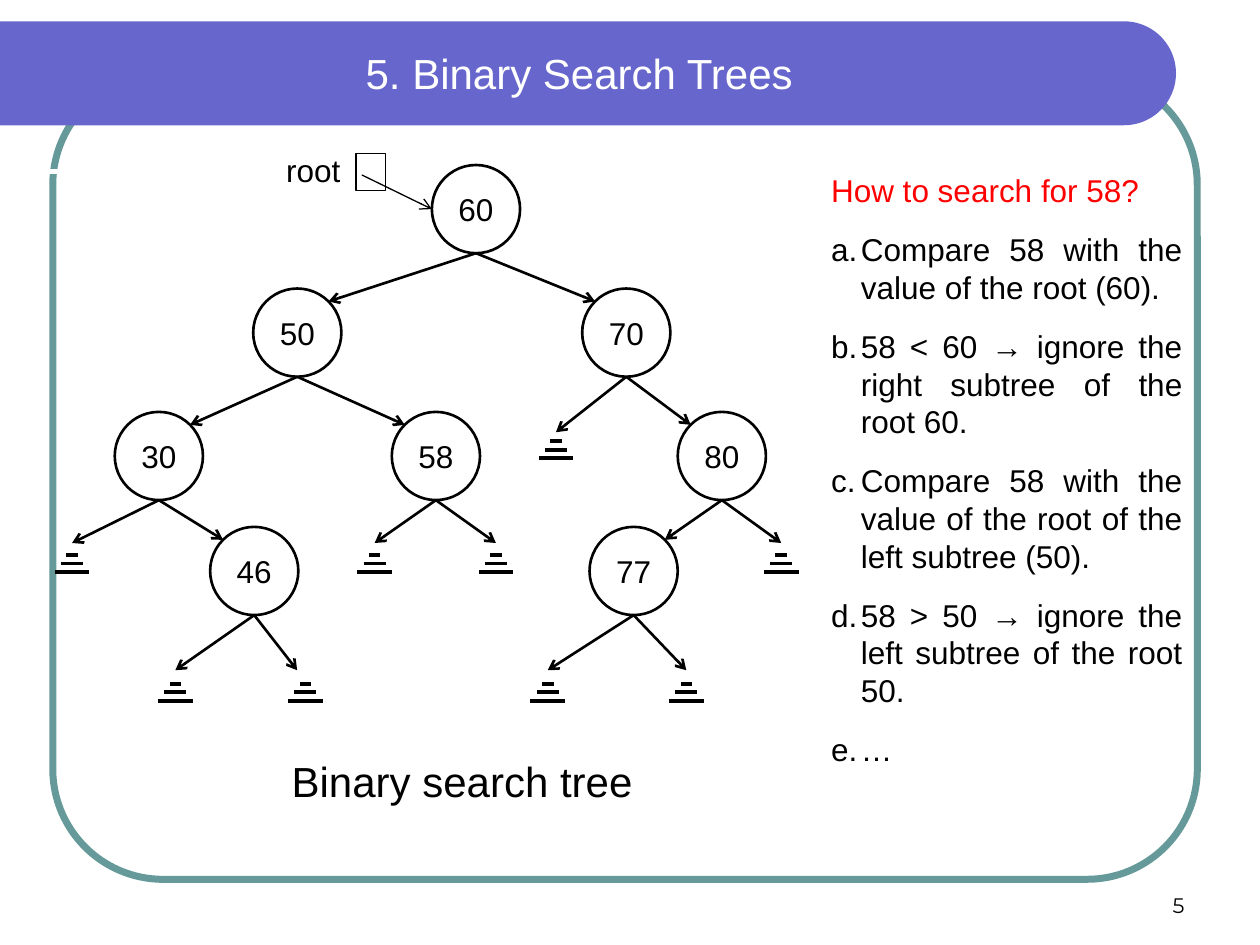
from math import cos, pi, sin
from pptx import Presentation
from pptx.dml.color import RGBColor
from pptx.enum.shapes import MSO_CONNECTOR as Link, MSO_SHAPE as Form
from pptx.enum.text import MSO_ANCHOR as Anchor, PP_ALIGN as Align
from pptx.oxml.ns import qn
from pptx.util import Pt
from lxml.etree import SubElement

BLACK = RGBColor(0, 0, 0)
WHITE = RGBColor(255, 255, 255)
RED = RGBColor(255, 0, 0)
BLUE = RGBColor(0x66, 0x66, 0xCC)
TEAL = RGBColor(0x66, 0x99, 0x99)

prs = Presentation()
prs.slide_width, prs.slide_height = Pt(720), Pt(540)
slide = prs.slides.add_slide(prs.slide_layouts[1])
shapes = slide.shapes
title, body = slide.placeholders


def draw_line(x1, y1, x2, y2, width, color=BLACK, arrow=False):
    line = shapes.add_connector(Link.STRAIGHT, Pt(x1), Pt(y1), Pt(x2), Pt(y2))
    line.line.width = Pt(width)
    line.line.color.rgb = color
    props = line._element.spPr
    if arrow:
        SubElement(props.find(qn("a:ln")), qn("a:tailEnd"), type="arrow")
    SubElement(props, qn("a:effectLst"))
    return line


def set_text(shape, text, size, color=BLACK, align=Align.CENTER,
             anchor=Anchor.MIDDLE, face="Arial"):
    frame = shape.text_frame
    frame.text = text
    frame.word_wrap = True
    frame.vertical_anchor = anchor
    for par in frame.paragraphs:
        par.alignment = align
        for run in par.runs:
            run.font.size = Pt(size)
            run.font.name = face
            run.font.color.rgb = color


# Rounded frame
frame = shapes.add_shape(Form.ROUNDED_RECTANGLE, Pt(30.2), Pt(42.5), Pt(654), Pt(460))
frame.adjustments[0] = 0.137
frame.fill.background()
frame.line.color.rgb = TEAL
frame.line.width = Pt(4)
frame.shadow.inherit = False

# Banner with a round right end
mid, rad, edge = 41.9, 29.7, 642.3
arc = [(edge + rad * cos(a), mid + rad * sin(a))
       for a in (pi * (i / 40 - 0.5) for i in range(41))]
pen = shapes.build_freeform(0, Pt(mid - rad))
pen.add_line_segments([(Pt(x), Pt(y)) for x, y in arc + [(0, mid + rad)]])
banner = pen.convert_to_shape()
banner.fill.solid()
banner.fill.fore_color.rgb = BLUE
banner.line.fill.background()
banner.shadow.inherit = False
draw_line(0, 97.9, 636, 97.9, 3, WHITE)

# Title, brought in front of the banner
title.left, title.top, title.width, title.height = Pt(15), Pt(18), Pt(632), Pt(47.5)
set_text(title, "5. Binary Search Trees", 24, WHITE)
shapes._spTree.append(title._element)

# Page number, caption and root label
labels = [
    ("5", 516, 492, 168, 36, 12, Align.RIGHT, Anchor.BOTTOM, "Montserrat"),
    ("Binary search tree", 139, 428.4, 250, 36, 24, Align.CENTER, Anchor.TOP, "Arial"),
    ("root", 150.5, 83, 57, 29, 18, Align.CENTER, Anchor.TOP, "Arial"),
]
for text, x, y, w, h, size, align, anchor, face in labels:
    box = shapes.add_textbox(Pt(x), Pt(y), Pt(w), Pt(h))
    set_text(box, text, size, BLACK, align, anchor, face)

# Tree nodes: key -> (centre x, level, parent)
SIZE = 50.4
TOPS = [94.3, 164.9, 235.4, 301.1]
nodes = {
    60: (272, 0, None), 50: (169.9, 1, 60), 70: (357.9, 1, 60),
    30: (90.8, 2, 50), 58: (249.1, 2, 50), 80: (412.5, 2, 70),
    77: (362.1, 3, 80), 46: (145.3, 3, 30),
}
for key, (x, level, parent) in nodes.items():
    top = TOPS[level]
    node = shapes.add_shape(Form.OVAL, Pt(x - SIZE / 2), Pt(top), Pt(SIZE), Pt(SIZE))
    node.fill.background()
    node.line.color.rgb = BLACK
    node.line.width = Pt(1.5)
    node.shadow.inherit = False
    set_text(node, str(key), 18)
    if parent:
        px, up, _ = nodes[parent]
        reach = SIZE / 2 * cos(pi / 4)
        tip = x + reach if x < px else x - reach
        draw_line(px, TOPS[up] + SIZE, tip, top + SIZE / 2 - reach, 1.5, arrow=True)

# Empty subtrees: parent, arrow tip x, symbol centre x
# Per parent level: arrow tip y, symbol top y
ends = {1: (247, 252.2), 2: (310.3, 317.2), 3: (383, 390.8)}
empty = [
    (70, 317.7, 317.7), (30, 41.2, 41.2), (58, 214.1, 214.1), (58, 283.4, 283.4),
    (80, 446.4, 446.4), (46, 100.2, 100.2), (46, 169.8, 174.5),
    (77, 313, 313), (77, 392.2, 392.2),
]
for parent, tip, x in empty:
    px, level, _ = nodes[parent]
    end, y = ends[level]
    draw_line(px, TOPS[level] + SIZE, tip, end, 1.5, arrow=True)
    for i, half in enumerate([3.3, 6.3, 9.9]):
        draw_line(x - half, y + 4.8 * i, x + half, y + 4.8 * i, 2.25)

# Root pointer
cell = shapes.add_shape(Form.RECTANGLE, Pt(203.4), Pt(87.6), Pt(17), Pt(21.4))
cell.fill.background()
cell.line.color.rgb = BLACK
cell.line.width = Pt(0.75)
cell.shadow.inherit = False
draw_line(206.8, 100, 246.8, 119.5, 0.75, arrow=True)

# Search steps
steps = [
    "How to search for 58?",
    "Compare 58 with the value of the root (60).",
    "58 < 60 → ignore the right subtree of the root 60.",
    "Compare 58 with the value of the root of the left subtree (50).",
    "58 > 50 → ignore the left subtree of the root 50.",
    "…",
]
body.left, body.top, body.width, body.height = Pt(467.7), Pt(94.4), Pt(215.2), Pt(348.5)
set_text(body, "\n".join(steps), 18, BLACK, Align.JUSTIFY, Anchor.TOP)
for i, par in enumerate(body.text_frame.paragraphs):
    par.space_before, par.space_after = Pt(0), Pt(12)
    props = par._p.get_or_add_pPr()
    indent = Pt(17) if i else 0
    props.set("marL", str(indent))
    props.set("indent", str(-indent))
    if i:
        SubElement(props, qn("a:buFont"), typeface="Arial")
        SubElement(props, qn("a:buAutoNum"), type="alphaLcPeriod")
    else:
        SubElement(props, qn("a:buNone"))
        par.runs[0].font.color.rgb = RED

prs.save("out.pptx")
